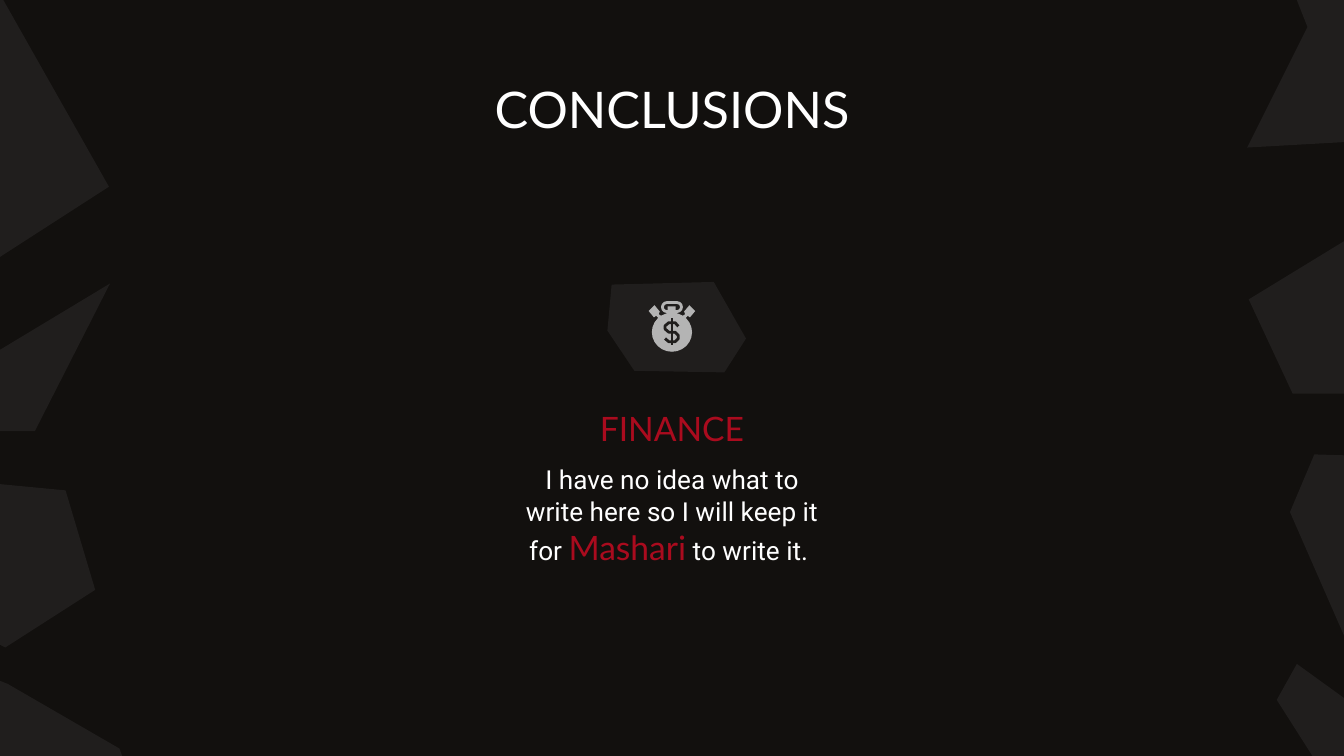
from pptx import Presentation
from pptx.dml.color import RGBColor
from pptx.enum.shapes import MSO_SHAPE
from pptx.enum.text import MSO_ANCHOR, MSO_AUTO_SIZE, PP_ALIGN
from pptx.util import Cm, Pt

BACKGROUND = "12100E"
ROCK = "201E1D"
ICON = "B4B4B4"
WHITE = "FFFFFF"
RED = "AA0B1E"
HEADING_FONT = "Lato"
BODY_FONT = "Roboto"
CENTER = 12.7

ROCKS = [
    [(25.5, 7.44), (24.43, 7.44), (23.6, 5.66), (25.5, 4.5)],
    [(23.57, 2.79), (24.71, 0.51), (24.43, -0.2), (26.24, -0.2), (26.24, 2.64)],
    [(-0.81, 5.38), (-0.81, -0.08), (-0.05, -0.2), (2.06, 3.53)],
    [(-0.36, 8.15), (-0.36, 6.83), (2.08, 5.36), (0.66, 8.15)],
    [(0.1, 12.24), (-0.56, 11.89), (-0.56, 9.78), (-0.33, 9.12), (1.24, 9.27), (1.8, 11.15)],
    [(-0.05, 14.38), (-0.05, 12.85), (0.15, 12.93), (2.26, 14.15), (2.34, 14.38)],
    [(25.04, 14.66), (24.13, 13.23), (24.51, 12.55), (26.82, 14.22), (26.82, 14.66)],
    [(25.5, 12.24), (24.38, 9.68), (24.84, 8.59), (25.5, 8.61)],
]
BADGE = [(11.48, 6.25), (11.99, 7.01), (13.69, 7.04), (14.1, 6.4), (13.49, 5.33), (11.56, 5.38)]
KNOB = [(12.37, 5.77), (12.47, 5.89), (12.45, 5.94), (12.51, 5.98),
        (12.45, 6.02), (12.4, 5.97), (12.36, 6), (12.26, 5.88)]
DOLLAR_CURVE = [(12.82, 6.17), (12.76, 6.1), (12.64, 6.1), (12.57, 6.16), (12.57, 6.22), (12.64, 6.28),
                (12.76, 6.28), (12.82, 6.34), (12.82, 6.4), (12.76, 6.46), (12.64, 6.46), (12.57, 6.4)]
DOLLAR_BAR = [(CENTER, 6.02), (CENTER, 6.53)]


def color(value):
    return RGBColor.from_string(value)


class SlideBuilder:
    def __init__(self, slide):
        self.slide = slide
        self.slide.background.fill.solid()
        self.slide.background.fill.fore_color.rgb = color(BACKGROUND)

    def paint(self, shape, fill=None, line=None):
        shape.shadow.inherit = False
        if fill:
            shape.fill.solid()
            shape.fill.fore_color.rgb = color(fill)
        else:
            shape.fill.background()
        if line:
            shape.line.color.rgb = color(line)
            shape.line.width = Pt(1.5)
        else:
            shape.line.fill.background()

    def outline(self, points, fill=None, line=None):
        corners = [(Cm(x), Cm(y)) for x, y in points]
        builder = self.slide.shapes.build_freeform(*corners[0])
        builder.add_line_segments(corners[1:], close=bool(fill))
        self.paint(builder.convert_to_shape(), fill, line)

    def preset(self, kind, place, fill=None, line=None):
        shape = self.slide.shapes.add_shape(kind, *map(Cm, place))
        self.paint(shape, fill, line)
        return shape

    def text_box(self, place, runs):
        self.text(self.slide.shapes.add_textbox(*map(Cm, place)), place, runs)

    def text(self, box, place, runs):
        box.left, box.top, box.width, box.height = map(Cm, place)
        frame = box.text_frame
        frame.word_wrap = True
        frame.auto_size = MSO_AUTO_SIZE.NONE
        frame.vertical_anchor = MSO_ANCHOR.MIDDLE
        frame.margin_left = frame.margin_right = Cm(0.25)
        frame.margin_top = frame.margin_bottom = Cm(0.25)
        para = frame.paragraphs[0]
        para.alignment = PP_ALIGN.CENTER
        para.space_before = Pt(0)
        for words, size, font, tint in runs:
            span = para.add_run()
            span.text = words
            span.font.size = Pt(size)
            span.font.name = font
            span.font.color.rgb = color(tint)

    def money_icon(self):
        handle = self.preset(MSO_SHAPE.ROUNDED_RECTANGLE, (12.52, 5.72, 0.36, 0.17), line=ICON)
        handle.adjustments[0] = 0.5
        self.preset(MSO_SHAPE.RECTANGLE, (12.62, 5.79, 0.15, 0.16), ICON)
        self.preset(MSO_SHAPE.OVAL, (12.32, 5.91, 0.76, 0.74), ICON)
        self.outline(KNOB, ICON)
        self.outline([(2 * CENTER - x, y) for x, y in KNOB], ICON)
        self.outline(DOLLAR_CURVE, line=ROCK)
        self.outline(DOLLAR_BAR, line=ROCK)


def main():
    deck = Presentation()
    deck.slide_width, deck.slide_height = Cm(25.4), Cm(14.29)
    page = deck.slides.add_slide(deck.slide_layouts[0])
    builder = SlideBuilder(page)
    for rock in ROCKS:
        builder.outline(rock, ROCK)
    builder.text(page.shapes.title, (2, 1.24, 21.4, 1.6),
                 [("CONCLUSIONS", 27, HEADING_FONT, WHITE)])
    builder.text_box((9.5, 7.47, 6.4, 1.24), [("FINANCE", 18, HEADING_FONT, RED)])
    builder.text(page.placeholders[1], (9.5, 8.74, 6.4, 2), [
        ("I have no idea what to write here so I will keep it for ", 14, BODY_FONT, WHITE),
        ("Mashari", 18, HEADING_FONT, RED),
        (" to write it. ", 14, BODY_FONT, WHITE),
    ])
    builder.outline(BADGE, ROCK)
    builder.money_icon()
    deck.save("out.pptx")


if __name__ == "__main__":
    main()
